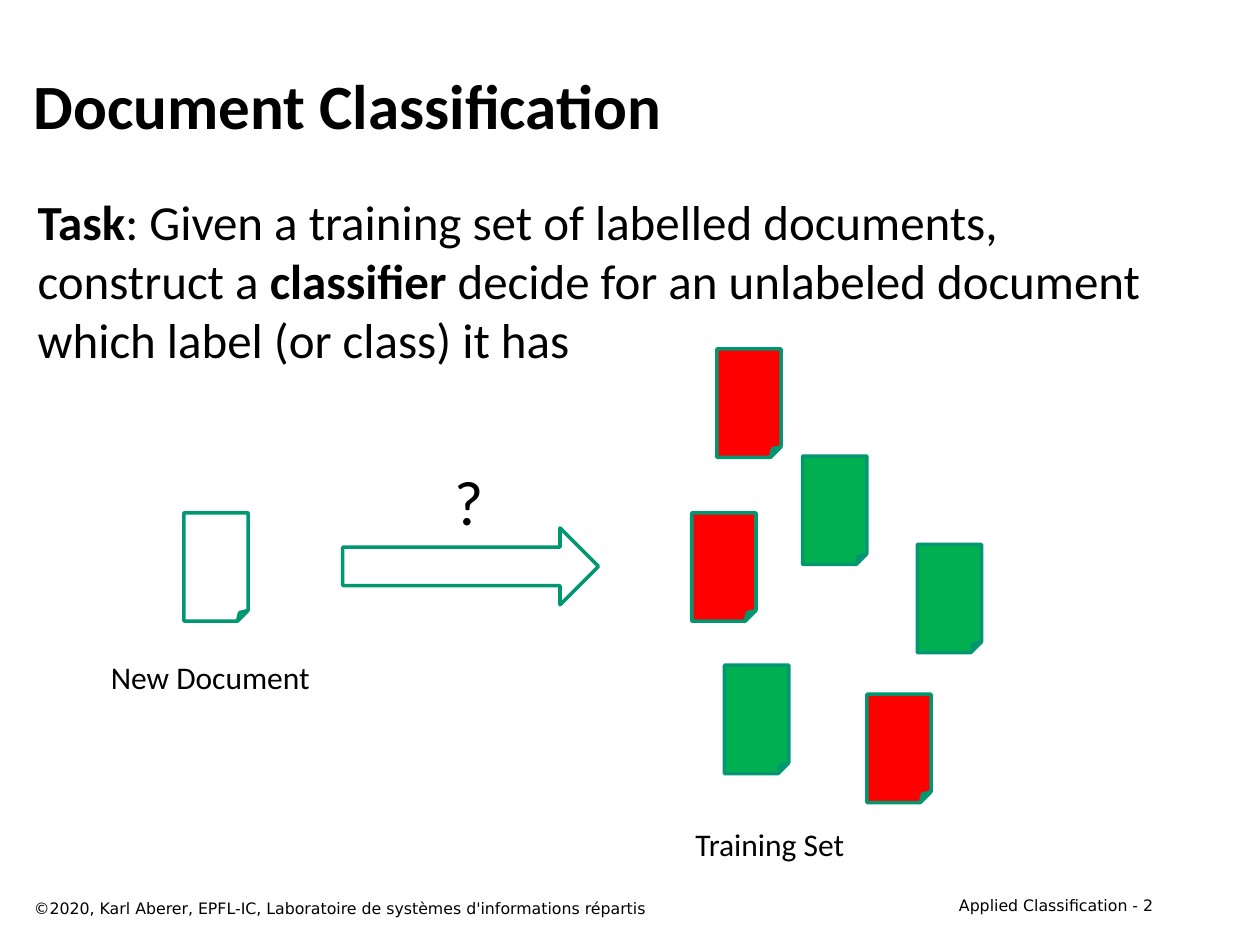
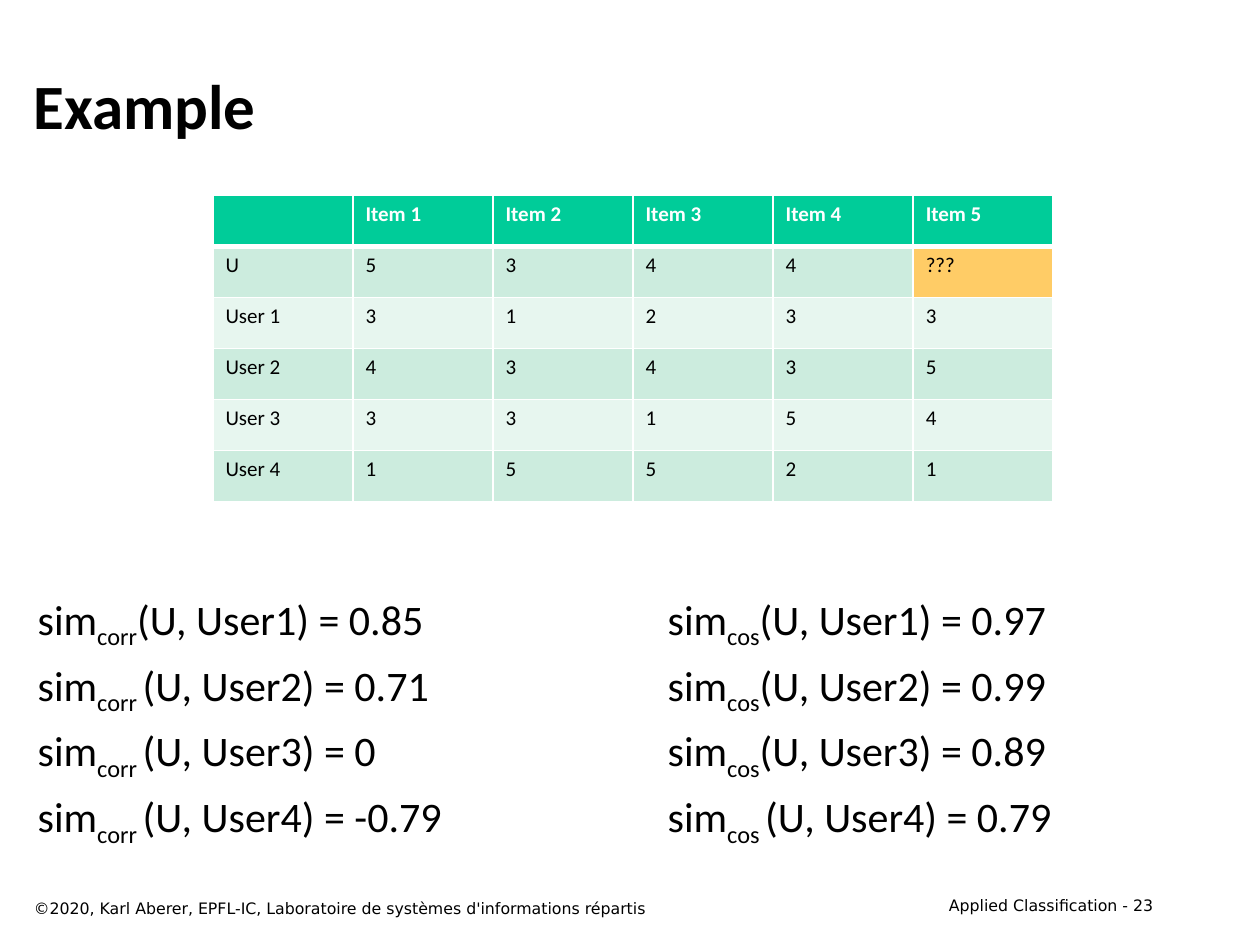
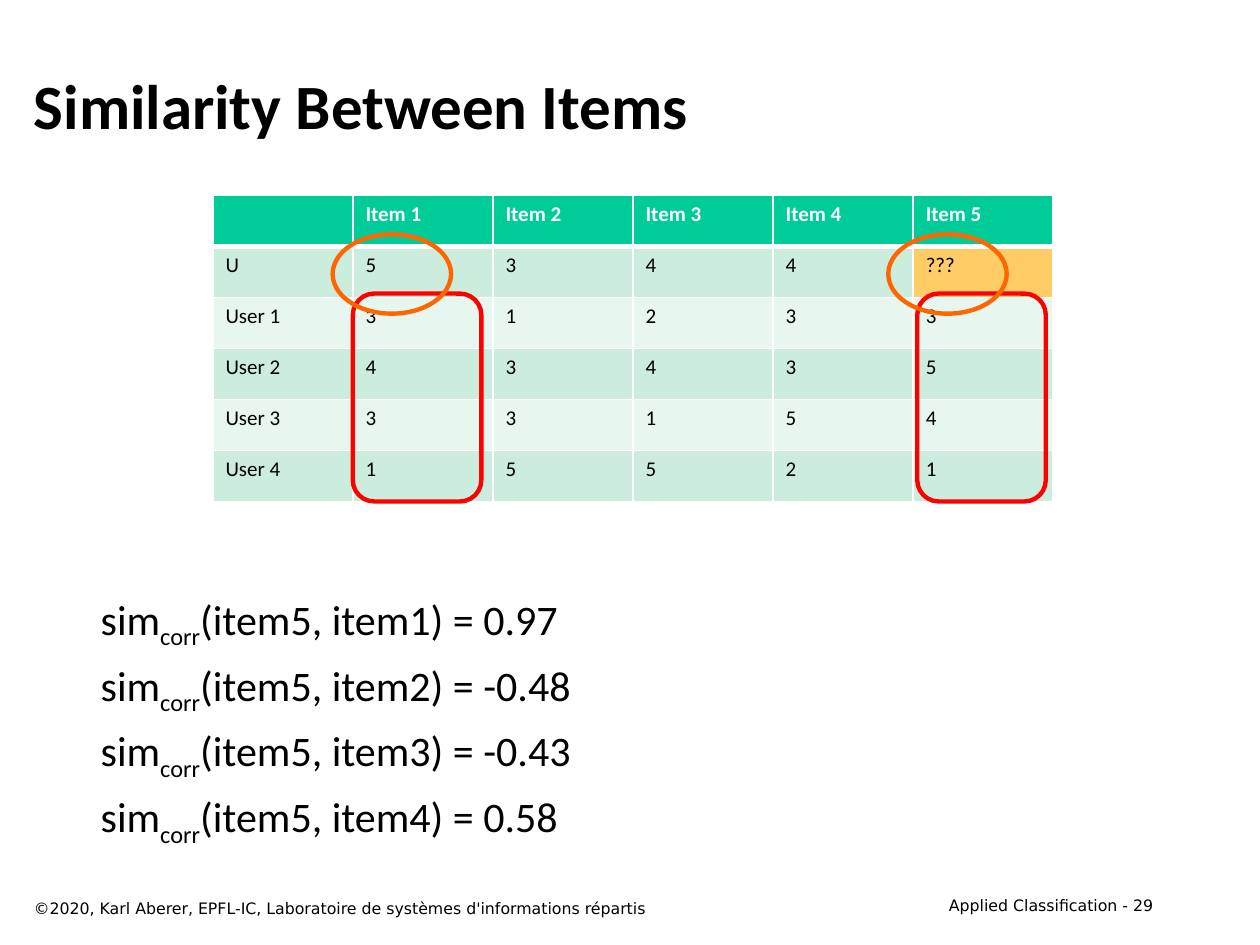
import pptx
import pptx.dml.color
import pptx.enum.shapes
import pptx.enum.text
import pptx.oxml
import pptx.oxml.ns
import pptx.util

Inches = pptx.util.Inches
Pt = pptx.util.Pt
SHAPE = pptx.enum.shapes.MSO_SHAPE
ALIGN = pptx.enum.text.PP_ALIGN
ANCHOR = pptx.enum.text.MSO_ANCHOR

COLORS = {
    "text": "000000", "white": "FFFFFF", "outline": "009771",
    "red": "FF0000", "green": "00B050", "orange": "FF6600",
    "header": "00CC99", "band_dark": "CCECDE", "band_light": "E7F6EF",
    "unknown": "FFCC66",
}
STYLES = {
    "title": {"name": "Calibri", "size": Pt(36), "bold": True},
    "task": {"name": "Calibri", "size": Pt(28)},
    "formula": {"name": "Calibri", "size": Pt(24)},
    "label": {"name": "Calibri", "size": Pt(18)},
    "question": {"name": "Calibri", "size": Pt(36)},
    "footer": {"name": "DejaVu Sans", "size": Pt(9)},
    "header_cell": {"name": "Calibri", "size": Pt(12), "bold": True},
    "cell": {"name": "Calibri", "size": Pt(12), "bold": False},
}
BOLD = {"bold": True}
COPYRIGHT = "©2020, Karl Aberer, EPFL-IC, Laboratoire de systèmes d'informations répartis"
RATINGS = [
    ["", "Item 1", "Item 2", "Item 3", "Item 4", "Item 5"],
    ["U", "5", "3", "4", "4", "???"],
    ["User 1", "3", "1", "2", "3", "3"],
    ["User 2", "4", "3", "4", "3", "5"],
    ["User 3", "3", "3", "1", "5", "4"],
    ["User 4", "1", "5", "5", "2", "1"],
]
DOCUMENT_SIZE = (0.51, 0.86)
TRAINING_DOCUMENTS = [
    (6.88, 5.51, "red"), (5.75, 5.28, "green"), (5.69, 2.77, "red"),
    (5.49, 4.07, "red"), (6.37, 3.62, "green"), (7.28, 4.32, "green"),
]


def rgb(color):
    return pptx.dml.color.RGBColor.from_string(COLORS[color])


def add_run(paragraph, text, style, color="text", subscript=False, **changes):
    run = paragraph.add_run()
    run.text = text
    for attribute, value in {**STYLES[style], **changes}.items():
        setattr(run.font, attribute, value)
    run.font.color.rgb = rgb(color)
    if subscript:
        run._r.get_or_add_rPr().set("baseline", "-25000")


def add_text(slide, box, lines, style, align=ALIGN.LEFT, anchor=ANCHOR.TOP,
             wrap=True, gap=0, tab=None):
    """Each line is a list of (text, format changes) runs."""
    frame = slide.shapes.add_textbox(*map(Inches, box)).text_frame
    frame.word_wrap = wrap
    frame.vertical_anchor = anchor
    for index, line in enumerate(lines):
        paragraph = frame.add_paragraph() if index else frame.paragraphs[0]
        paragraph.alignment = align
        paragraph.space_before = Pt(gap if index else 0)
        if tab:
            paragraph._p.get_or_add_pPr().append(pptx.oxml.parse_xml(
                f'<a:tabLst {pptx.oxml.ns.nsdecls("a")}>'
                f'<a:tab pos="{Inches(tab)}" algn="l"/></a:tabLst>'))
        for text, changes in line:
            add_run(paragraph, text, style, **changes)


def add_label(slide, box, text, style="label"):
    add_text(slide, box, [[(text, {})]], style, ALIGN.CENTER, wrap=False)


def add_outlined(slide, kind, box, line, width, fill=None):
    shape = slide.shapes.add_shape(kind, *map(Inches, box))
    shape.shadow.inherit = False
    if fill:
        shape.fill.solid()
        shape.fill.fore_color.rgb = rgb(fill)
    else:
        shape.fill.background()
    shape.line.color.rgb = rgb(line)
    shape.line.width = Pt(width)


def add_document(slide, left, top, fill):
    add_outlined(slide, SHAPE.FOLDED_CORNER, (left, top, *DOCUMENT_SIZE), "outline", 2, fill)


def set_borders(cell, widths):
    for side, width in widths.items():
        cell._tc.get_or_add_tcPr().append(pptx.oxml.parse_xml(
            f'<a:ln{side} {pptx.oxml.ns.nsdecls("a")} w="{Pt(width)}"><a:solidFill>'
            f'<a:srgbClr val="{COLORS["white"]}"/></a:solidFill></a:ln{side}>'))


def cell_fill(row, text):
    if text == "???":
        return "unknown"
    if row == 0:
        return "header"
    return "band_dark" if row % 2 else "band_light"


def add_ratings(slide):
    table = slide.shapes.add_table(
        len(RATINGS), len(RATINGS[0]), *map(Inches, (1.69, 1.55, 6.67, 2.43))).table
    for row, ratings in enumerate(RATINGS):
        for column, text in enumerate(ratings):
            cell = table.cell(row, column)
            set_borders(cell, {"L": 1, "R": 1, "T": 3 if row == 1 else 1,
                               "B": 3 if row == 0 else 1})
            cell.fill.solid()
            cell.fill.fore_color.rgb = rgb(cell_fill(row, text))
            if text:
                style, color = ("cell", "text") if row else ("header_cell", "white")
                add_run(cell.text_frame.paragraphs[0], text, style, color)


def similarity(measure, result):
    return [("sim", {}), (measure, {"subscript": True}), (result, {})]


def add_similarities(slide, left, lines, tab=None):
    add_text(slide, (left, 4.66, 9.28 - left, 2.31), lines, "formula", gap=4.8, tab=tab)


def add_content_slide(deck, title, number):
    """Blank slide with the shared title and footers."""
    slide = deck.slides.add_slide(deck.slide_layouts[6])
    add_text(slide, (7.17, 7.06, 2.08, 0.25),
             [[(f"Applied Classification - {number}", {})]], "footer", ALIGN.RIGHT)
    add_text(slide, (0.17, 0.33, 9.08, 1), [[(title, {})]], "title", anchor=ANCHOR.MIDDLE)
    add_text(slide, (0.17, 7.08, 6.42, 0.25), [[(COPYRIGHT, {})]], "footer")
    return slide


def build_classification(deck):
    slide = add_content_slide(deck, "Document Classification", 2)
    task = [
        ("Task", BOLD),
        (": Given a training set of labelled documents, construct a ", {}),
        ("classifier", BOLD),
        (" decide for an unlabeled document which label (or class) it has", {}),
    ]
    add_text(slide, (0.2, 1.47, 9.08, 5.5), [task], "task")
    for left, top, label_color in TRAINING_DOCUMENTS:
        add_document(slide, left, top, label_color)
    add_document(slide, 1.46, 4.07, "white")
    add_outlined(slide, SHAPE.RIGHT_ARROW, (2.72, 4.19, 2.03, 0.61), "outline", 2, "white")
    add_label(slide, (0.77, 5.17, 1.8, 0.4), "New Document")
    add_label(slide, (5.41, 6.5, 1.4, 0.4), "Training Set")
    add_label(slide, (3.5, 3.62, 0.44, 0.71), "?", "question")


def build_example(deck):
    slide = add_content_slide(deck, "Example", 23)
    add_ratings(slide)
    similarities = [
        ("corr", "0.85", "cos", "0.97"),
        ("corr ", "0.71", "cos", "0.99"),
        ("corr ", "0", "cos", "0.89"),
        ("corr ", "-0.79", "cos ", "0.79"),
    ]
    lines = [
        similarity(corr, f"(U, User{user}) = {corr_value}\t")
        + similarity(cos, f"(U, User{user}) = {cos_value}")
        for user, (corr, corr_value, cos, cos_value) in enumerate(similarities, 1)
    ]
    add_similarities(slide, 0.2, lines, tab=5)


def build_item_similarity(deck):
    slide = add_content_slide(deck, "Similarity Between Items", 29)
    add_ratings(slide)
    add_similarities(slide, 0.7, [
        similarity("corr", f"(item5, item{item}) = {value}")
        for item, value in enumerate(["0.97", "-0.48", "-0.43", "0.58"], 1)
    ])
    for left in (7.28, 2.8):
        add_outlined(slide, SHAPE.ROUNDED_RECTANGLE, (left, 2.33, 1.02, 1.65), "red", 2.5)
    for left in (2.64, 7.05):
        add_outlined(slide, SHAPE.OVAL, (left, 1.86, 0.94, 0.63), "orange", 2.5)


def main():
    deck = pptx.Presentation()
    deck.slide_width, deck.slide_height = Inches(10), Inches(7.5)
    build_classification(deck)
    build_example(deck)
    build_item_similarity(deck)
    deck.save("out.pptx")


if __name__ == "__main__":
    main()
